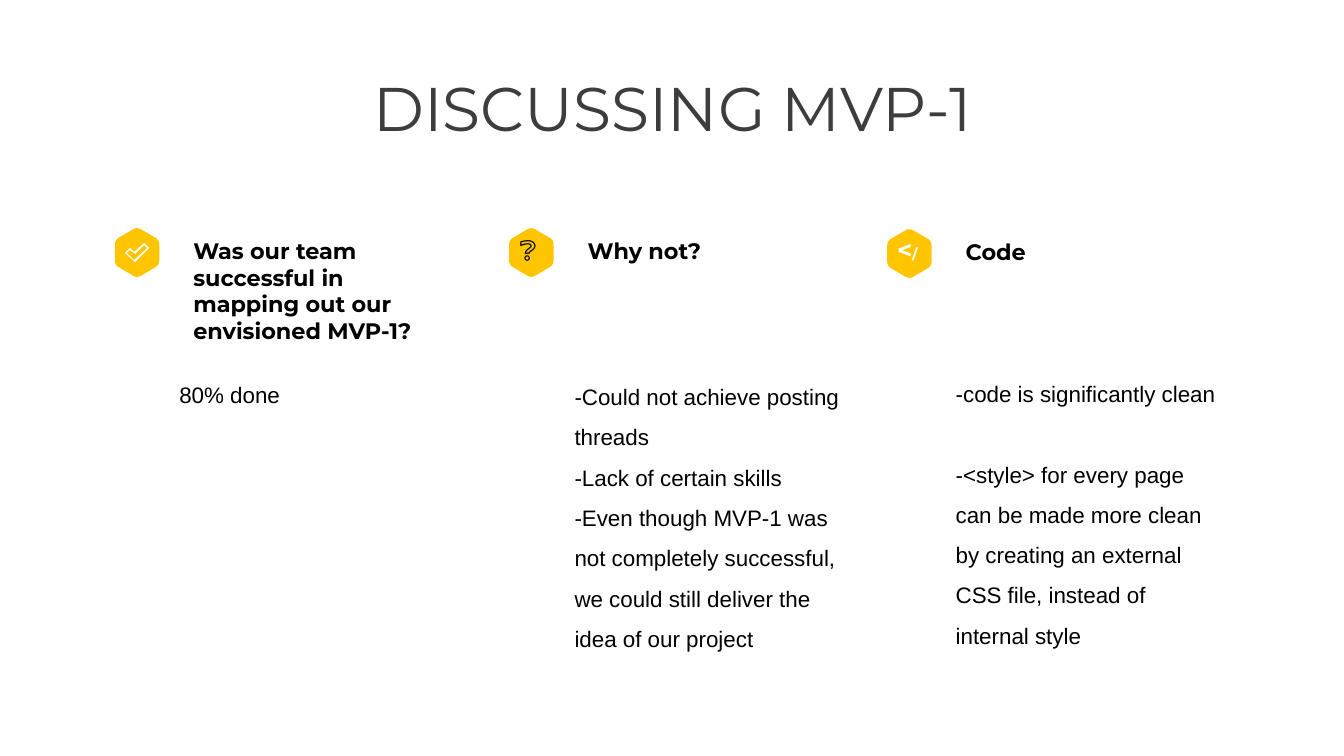
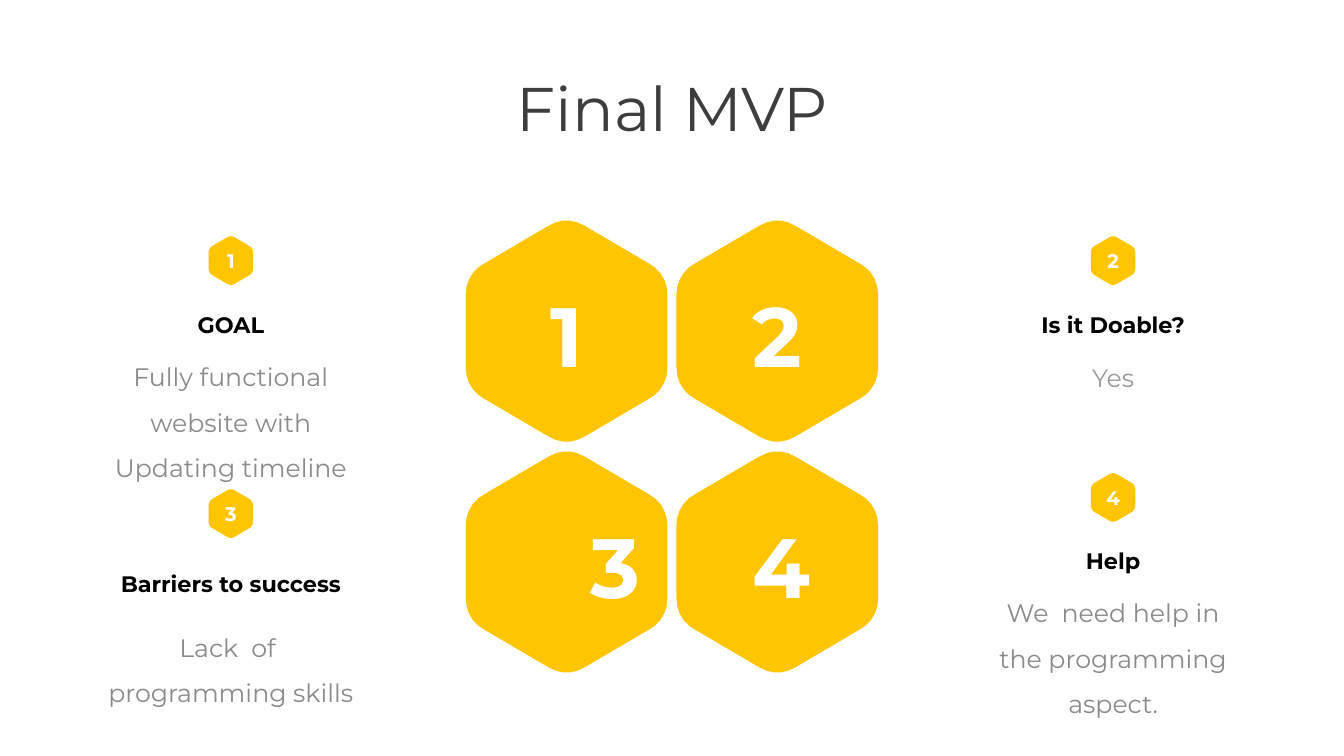
from pptx import Presentation
from pptx.dml.color import RGBColor
from pptx.enum import text as t
from pptx.util import Inches, Pt

COLORS = {
    "yellow": "FFC501",
    "white": "FFFFFF",
    "black": "000000",
    "title": "3D3D3D",
    "grey": "8A8A8A",
    "light_grey": "999999",
}
HEADING_FONT, BODY_FONT = "Montserrat", "Arial"
LEFT, CENTER = t.PP_ALIGN.LEFT, t.PP_ALIGN.CENTER
TOP, MIDDLE = t.MSO_ANCHOR.TOP, t.MSO_ANCHOR.MIDDLE

# Large hexagon: its box and two of its corners as Bezier points, in inches
HEX_W, HEX_H = 2, 2.23
TOP_CORNER = [(0.82, 0.07), (0.94, 0), (1.06, 0), (1.18, 0.07)]
SIDE_CORNER = [(1.81, 0.44), (1.93, 0.5), (2, 0.62), (2, 0.75)]

CHECK_OUTER = [(0.19, 0), (0.24, 0.05), (0.1, 0.19),
               (0, 0.1), (0.05, 0.05), (0.09, 0.09)]
CHECK_INNER = [(0.19, 0.02), (0.1, 0.11), (0.05, 0.07),
               (0.02, 0.1), (0.09, 0.17), (0.22, 0.05)]


def curve(points, steps=5):
    """Sample a cubic Bezier curve."""
    result = []
    for i in range(steps + 1):
        f = i / steps
        weights = ((1 - f) ** 3, 3 * f * (1 - f) ** 2,
                   3 * f ** 2 * (1 - f), f ** 3)
        result.append(tuple(sum(w * p[axis] for w, p in zip(weights, points))
                            for axis in (0, 1)))
    return result


def hexagon_outline():
    """Rounded hexagon: the right half, then its half turn."""
    side = curve(SIDE_CORNER)
    lower_side = [(x, HEX_H - y) for x, y in reversed(side)]
    half = curve(TOP_CORNER) + side + lower_side
    return half + [(HEX_W - x, HEX_H - y) for x, y in half]


def write(tf, *paragraphs, size=16, color="black", font=HEADING_FONT,
          bold=False, align=LEFT, spacing=1.0, gap=0, anchor=TOP, shift=(0, 0)):
    """Fill a text frame; a paragraph is a string or a list of (text, size)."""
    tf.word_wrap = True
    tf.auto_size = t.MSO_AUTO_SIZE.NONE
    tf.vertical_anchor = anchor
    tf.margin_left, tf.margin_right = Inches(0.1 + shift[0]), Inches(0.1)
    tf.margin_top, tf.margin_bottom = Inches(0.05 + shift[1]), Inches(0.05)
    for i, content in enumerate(paragraphs):
        p = tf.add_paragraph() if i else tf.paragraphs[0]
        p.alignment = align
        p.line_spacing = spacing
        p.space_before = Pt(gap if i else 0)
        runs = [(content, size)] if isinstance(content, str) else content
        for words, points in runs:
            r = p.add_run()
            r.text = words
            r.font.name = font
            r.font.size = Pt(points)
            r.font.bold = bold
            r.font.color.rgb = RGBColor.from_string(COLORS[color])


class Deck:
    def __init__(self):
        self.prs = Presentation()
        self.prs.slide_width, self.prs.slide_height = Inches(13.33), Inches(7.5)
        self.s = None

    def slide(self, title):
        self.s = self.prs.slides.add_slide(self.prs.slide_layouts[5])
        sp = self.s.shapes.title
        sp.left, sp.top = Inches(0.92), Inches(0.64)
        sp.width, sp.height = Inches(11.5), Inches(0.84)
        write(sp.text_frame, title, size=44, color="title", align=CENTER)

    def text(self, x, y, w, h, *paragraphs, **style):
        sp = self.s.shapes.add_textbox(*map(Inches, (x, y, w, h)))
        write(sp.text_frame, *paragraphs, **style)

    def outline(self, contours, color):
        """Filled freeform; a second contour inside the first is a hole."""
        first, *holes = [[(Inches(x), Inches(y)) for x, y in c] for c in contours]
        builder = self.s.shapes.build_freeform(*first[0])
        builder.add_line_segments(first[1:], close=True)
        for hole in holes:
            builder.move_to(*hole[0])
            builder.add_line_segments(hole[1:], close=True)
        sp = builder.convert_to_shape()
        sp.shadow.inherit = False
        sp.fill.solid()
        sp.fill.fore_color.rgb = RGBColor.from_string(COLORS[color])
        sp.line.fill.background()
        return sp

    def hexagon(self, x, y, *paragraphs, w=0.44, h=0.49, **style):
        points = [(x + px * w / HEX_W, y + py * h / HEX_H)
                  for px, py in hexagon_outline()]
        sp = self.outline([points], "yellow")
        if paragraphs:
            write(sp.text_frame, *paragraphs, **style)

    def check(self, x, y):
        self.outline([[(x + dx, y + dy) for dx, dy in contour]
                      for contour in (CHECK_OUTER, CHECK_INNER)], "white")

    def column(self, x, y, heading, body_box, body, heading_height=0.37,
               icon=(), gap=0, **icon_style):
        """Icon badge with a heading beside it and plain text below."""
        self.hexagon(x, y, *icon, **icon_style)
        self.text(x + 0.68, y + 0.04, 2.74, heading_height, heading, bold=True)
        self.text(*body_box, *body, font=BODY_FONT, spacing=1.5, gap=gap)

    def card(self, x, tops, number, heading, body, body_height, color="grey"):
        """Numbered badge above a centred heading and text."""
        badge_top, heading_top, body_top = tops
        self.hexagon(x + 1.15, badge_top, number, size=14, color="white",
                     bold=True, align=CENTER, anchor=MIDDLE)
        self.text(x, heading_top, 2.74, 0.37, heading, bold=True, align=CENTER)
        self.text(x, body_top, 2.74, body_height, body, size=18, color=color,
                  align=CENTER, spacing=1.5)


def discussion(deck):
    deck.slide("DISCUSSING MVP-1")
    deck.column(1.14, 2.26,
                "Was our team successful in mapping out our envisioned MVP-1?",
                (1.68, 3.6, 2.74, 3.3), ["80% done"], heading_height=1.2)
    deck.check(1.24, 2.41)
    deck.column(5.05, 2.26, "Why not?", (5.6, 3.62, 2.87, 3.39),
                ["-Could not achieve posting threads",
                 "-Lack of certain skills",
                 "-Even though MVP-1 was not completely successful, "
                 "we could still deliver the idea of our project"],
                icon=["❔"], size=18)
    deck.column(8.8, 2.27, "Code", (9.38, 3.59, 2.85, 3.23),
                ["-code is significantly clean",
                 "-<style> for every page can be made more clean by creating "
                 "an external CSS file, instead of internal style"],
                gap=28.7, icon=[[("<", 18), ("/", 10)]], color="white", bold=True)


def final_mvp(deck):
    deck.slide("Final MVP")
    left, right = 0.92, 9.67
    upper = (2.34, 3.04, 3.39)
    deck.card(left, upper, "1", "GOAL",
              "Fully functional website with Updating timeline", 1.17)
    deck.card(right, upper, "2", "Is it Doable?", "Yes", 0.71, color="light_grey")
    deck.card(left, (4.85, 5.61, 6.07), "3", "Barriers to success",
              "Lack  of  programming skills", 0.94)
    deck.card(right, (4.69, 5.38, 5.73), "4", "Help",
              "We  need help in the programming aspect.", 1.28)
    indents = [0, 0, 0.96, 0.08]
    for i, indent in enumerate(indents):
        row, col = divmod(i, 2)
        deck.hexagon(4.62 + col * 2.09, 2.17 + row * 2.29, str(i + 1),
                     w=HEX_W, h=HEX_H, size=60, color="white", bold=True,
                     align=CENTER, anchor=MIDDLE, shift=(indent, 0.06))


def main():
    deck = Deck()
    discussion(deck)
    final_mvp(deck)
    deck.prs.save("out.pptx")


if __name__ == "__main__":
    main()
